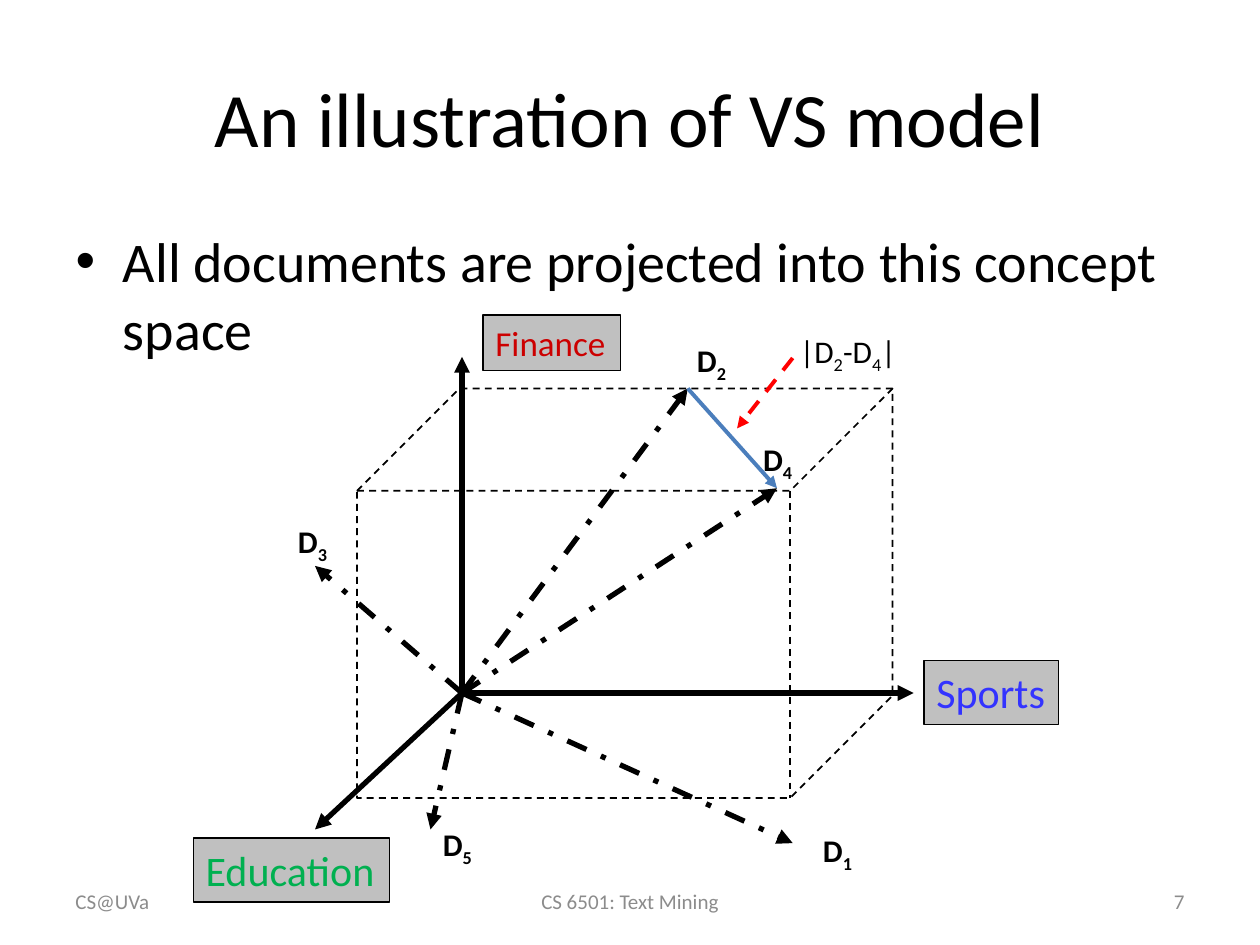
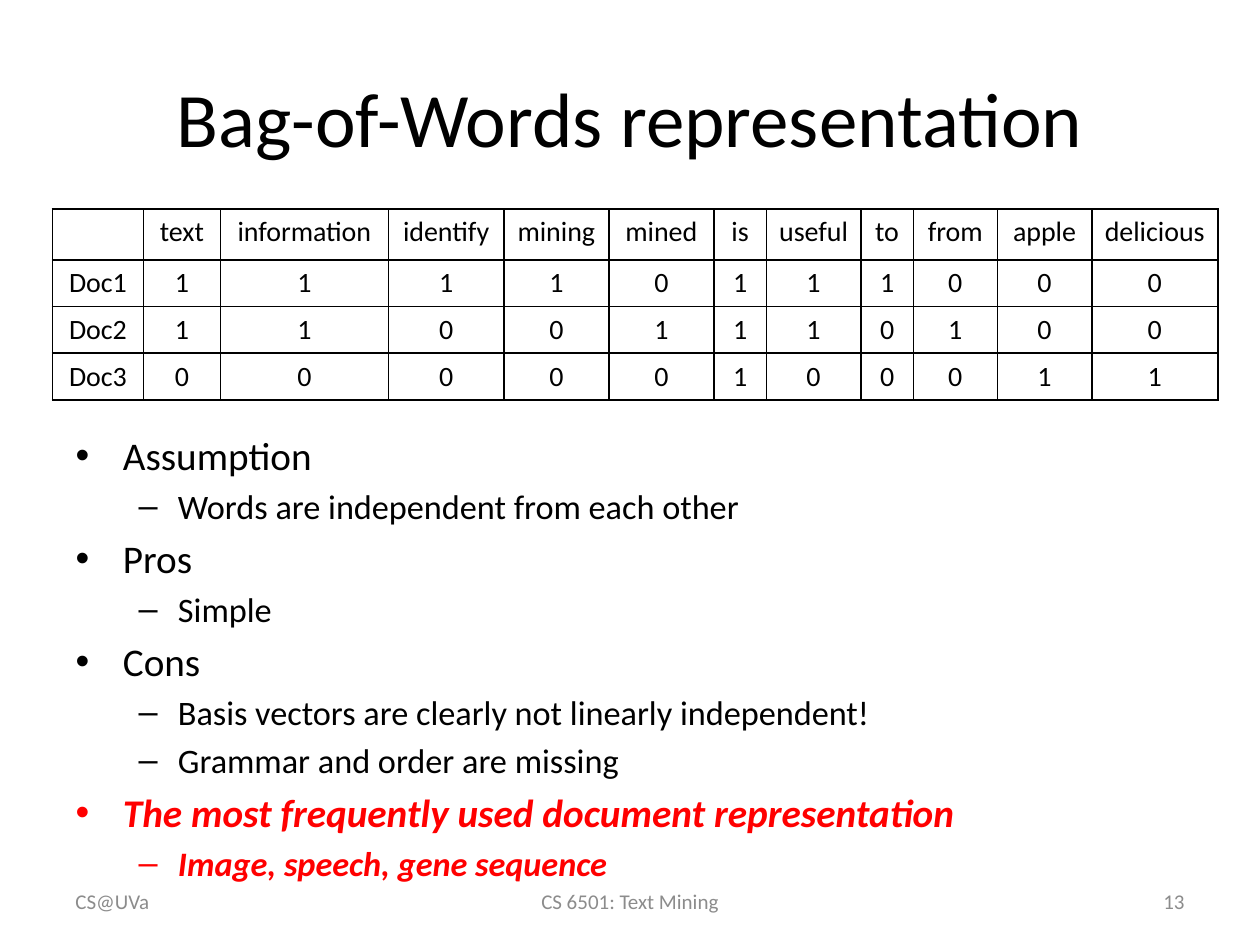
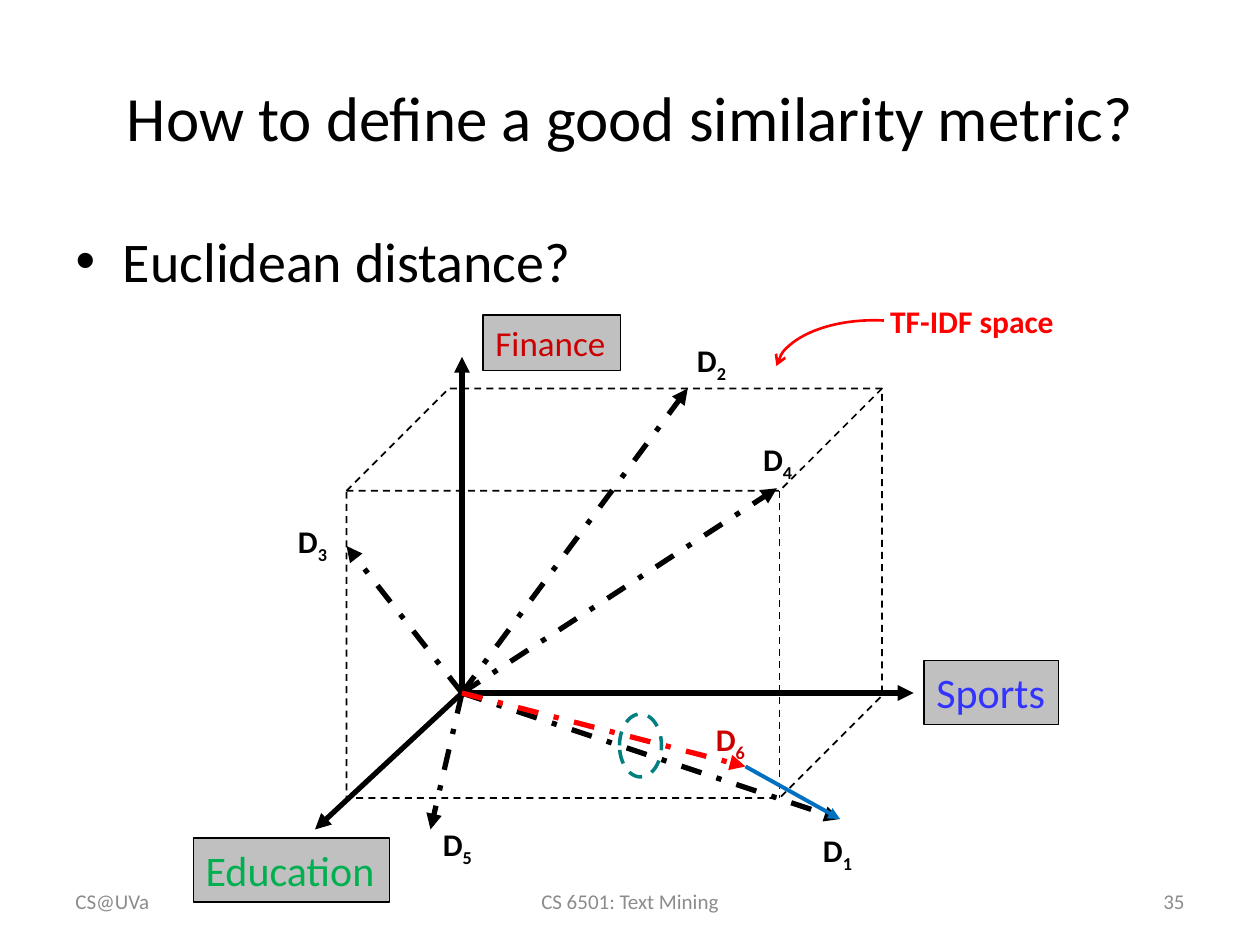
from lxml import etree
from pptx import Presentation
from pptx.dml.color import RGBColor
from pptx.enum import dml, shapes, text
from pptx.oxml import ns
from pptx.util import Inches, Pt

BLACK, RED, DARK_RED, GREY = "000000", "FF0000", "CC0000", "8C8C8C"
DASH, DASH_DOT = dml.MSO_LINE.DASH, dml.MSO_LINE.DASH_DOT
LEFT, CENTER, RIGHT = text.PP_ALIGN.LEFT, text.PP_ALIGN.CENTER, text.PP_ALIGN.RIGHT
ORIGIN = (44, 66)


def rgb(color):
    return RGBColor.from_string(color)


def grid(*units):
    """Lengths on a grid of 120 columns by 90 rows, twelve to the inch."""
    return [Inches(u / 12) for u in units]


class Deck:
    font = "Calibri"

    def __init__(self):
        self.prs = Presentation()
        self.prs.slide_width, self.prs.slide_height = grid(120, 90)
        self.s = None

    def slide(self, title, number, size=44):
        self.s = self.prs.slides.add_slide(self.prs.slide_layouts[1])
        sp = self.s.shapes.title
        sp.left, sp.top, sp.width, sp.height = grid(6, 3.6, 108, 15)
        sp.text_frame.text = title
        self.style(sp.text_frame.paragraphs[0], size)
        footers = (("CS@UVa", 6, 28, LEFT), ("CS 6501: Text Mining", 41, 38, CENTER),
                   (str(number), 86, 28, RIGHT))
        for words, x, width, align in footers:
            tf = self.label(words, x, 83.4, width, 4.8, size=12, color=GREY, wrap=True)
            tf.vertical_anchor = text.MSO_ANCHOR.MIDDLE
            tf.paragraphs[0].alignment = align

    def style(self, p, size, color=BLACK, bold=False, italic=False):
        for r in p.runs:
            f = r.font
            f.name, f.size, f.bold, f.italic = self.font, Pt(size), bold, italic
            f.color.rgb = rgb(color)

    def bullets(self, items, sizes=(32, 28), top=21, height=59.4):
        """Each item is (level, words) or (level, words, emphasised)."""
        sp = self.s.placeholders[1]
        sp.left, sp.top, sp.width, sp.height = grid(6, top, 108, height)
        tf = sp.text_frame
        tf.auto_size = text.MSO_AUTO_SIZE.NONE
        for i, (level, words, *strong) in enumerate(items):
            p = tf.add_paragraph() if i else tf.paragraphs[0]
            p.text, p.level = words, level
            self.style(p, sizes[level], RED if strong else BLACK, bool(strong), bool(strong))
        tf.paragraphs[0].space_before = Pt(0)

    def fill_text(self, tf, words, size, color, bold=False):
        """Set one paragraph; the character after an underscore is a subscript."""
        p = tf.paragraphs[0]
        first, *rest = words.split("_")
        pieces = [(first, False)]
        for part in rest:
            pieces += [(part[0], True), (part[1:], False)]
        for piece, lowered in pieces:
            if piece:
                r = p.add_run()
                r.text = piece
                if lowered:
                    r._r.get_or_add_rPr().set("baseline", "-25000")
        self.style(p, size, color, bold)

    def label(self, words, x, y, width=5.5, height=4.8, size=18, color=BLACK,
              bold=False, wrap=False):
        tf = self.s.shapes.add_textbox(*grid(x, y, width, height)).text_frame
        tf.word_wrap = wrap
        self.fill_text(tf, words, size, color, bold)
        return tf

    def stroke(self, sp, color, width, dash=None, **ends):
        line = sp.line
        line.color.rgb, line.width = rgb(color), Pt(width)
        if dash:
            line.dash_style = dash
        ln = sp.element.spPr.find(ns.qn("a:ln"))
        for end, kind in ends.items():
            etree.SubElement(ln, ns.qn(f"a:{end}")).set("type", kind)

    def shape(self, kind, box, color=BLACK, width=1, dash=DASH, fill=None, **ends):
        sp = self.s.shapes.add_shape(kind, *grid(*box))
        sp.shadow.inherit = False
        if fill:
            sp.fill.solid()
            sp.fill.fore_color.rgb = rgb(fill)
        else:
            sp.fill.background()
        self.stroke(sp, color, width, dash, **ends)
        return sp

    def tag(self, words, box, color, size):
        sp = self.shape(shapes.MSO_SHAPE.RECTANGLE, box, width=0.75, dash=None, fill="C0C0C0")
        tf = sp.text_frame
        tf.word_wrap = False
        tf.vertical_anchor = text.MSO_ANCHOR.TOP
        tf.paragraphs[0].alignment = LEFT
        self.fill_text(tf, words, size, color)

    def arrow(self, start, end, color=BLACK, width=3, dash=None):
        c = self.s.shapes.add_connector(shapes.MSO_CONNECTOR.STRAIGHT, *grid(*start, *end))
        self.stroke(c, color, width, dash, tailEnd="triangle")
        etree.SubElement(c.element.spPr, ns.qn("a:effectLst"))

    def space(self, cube_left, vectors):
        """Concept space with three axes; vectors are (name, tip, label place, colours)."""
        self.shape(shapes.MSO_SHAPE.CUBE, (cube_left, 37, 51, 39))
        for tip in ((30, 79), (87, 66), (44, 34)):
            self.arrow(ORIGIN, tip)
        self.tag("Sports", (88, 62.9, 12.8, 6.1), "3333FF", 24)
        self.tag("Education", (18.4, 79.8, 18.7, 6.1), "00B050", 24)
        self.tag("Finance", (46, 30, 13.1, 5.3), DARK_RED, 20)
        for name, tip, place, *colors in vectors:
            line, ink = colors or (BLACK, BLACK)
            self.arrow(ORIGIN, tip, line, dash=DASH_DOT)
            self.label(name, *place, color=ink, bold=True)

    def table(self, rows, x, y, widths, heights):
        frame = self.s.shapes.add_table(len(rows), len(widths),
                                        *grid(x, y, sum(widths), sum(heights)))
        t = frame.table
        t.first_row = t.horz_banding = False
        for column, width in zip(t.columns, grid(*widths)):
            column.width = width
        for row, height, values in zip(t.rows, grid(*heights), rows):
            row.height = height
            for cell, value in zip(row.cells, values):
                cell.margin_left = cell.margin_right = Inches(0.05)
                cell.text = value
                p = cell.text_frame.paragraphs[0]
                p.alignment = CENTER
                self.style(p, 16)
                self.border(cell)
                cell.fill.background()

    def border(self, cell):
        tc_pr = cell._tc.get_or_add_tcPr()
        for side in ("lnL", "lnR", "lnT", "lnB"):
            ln = etree.SubElement(tc_pr, ns.qn(f"a:{side}"), w=str(Pt(1)))
            fill = etree.SubElement(ln, ns.qn("a:solidFill"))
            etree.SubElement(fill, ns.qn("a:srgbClr"), val=BLACK)


def main():
    deck = Deck()
    d2_tip, d4_tip = (65.5, 37), (74, 46.5)
    shared = [("D_4", d4_tip, (71.5, 41.3)), ("D_2", d2_tip, (65.2, 31.9)),
              ("D_5", (41, 79), (41, 78))]
    d1_place, d3_place = (77.2, 78.6), (27.2, 49.1)

    deck.slide("An illustration of VS model", 7)
    deck.bullets([(0, "All documents are projected into this concept space")])
    deck.space(34, shared + [("D_1", (75.5, 80.3), d1_place), ("D_3", (30, 53.9), d3_place)])
    deck.arrow(d2_tip, d4_tip, "4B7EBC", 2.25)
    deck.label("|D_2-D_4|", 75, 31, 12, wrap=True)
    deck.arrow((75.5, 34.1), (70.2, 40.8), RED, 2.25, DASH)

    deck.slide("Bag-of-Words representation", 13)
    deck.bullets([
        (0, "Assumption"),
        (1, "Words are independent from each other"),
        (0, "Pros"),
        (1, "Simple"),
        (0, "Cons"),
        (1, "Basis vectors are clearly not linearly independent!"),
        (1, "Grammar and order are missing"),
        (0, "The most frequently used document representation", True),
        (1, "Image, speech, gene sequence", True),
    ], sizes=(22.4, 19.6), top=40.5, height=40.5)
    words = "text information identify mining mined is useful to from apple delicious"
    counts = ("11110111000", "11001110100", "00000100011")
    rows = [["", *words.split()]]
    rows += [[f"Doc{i}", *digits] for i, digits in enumerate(counts, 1)]
    deck.table(rows, 5, 19.9, (8.67, 7.33, 16, 11, 10, 10, 5, 9, 5, 8, 9, 12),
               (4.85, 4.45, 4.45, 4.45))

    deck.slide("How to define a good similarity metric?", 35, size=36)
    deck.bullets([(0, "Euclidean distance?")])
    d1_tip, d6_tip = (80, 78), (71, 73)
    deck.space(33, shared + [("D_1", d1_tip, d1_place), ("D_3", (33, 52), d3_place),
                             ("D_6", d6_tip, (67, 68), RED, DARK_RED)])
    deck.shape(shapes.MSO_SHAPE.OVAL, (59, 68, 4, 6), "008080", 2)
    deck.label("TF-IDF space", 83.6, 28.2, 26, color=RED, bold=True, wrap=True)
    arc = deck.shape(shapes.MSO_SHAPE.ARC, (73.9, 30.5, 18.7, 9.7), RED, 1.5, None,
                     headEnd="arrow")
    for i, degrees in enumerate((183, 281)):
        arc.adjustments[i] = degrees * 0.6
    deck.arrow(d6_tip, d1_tip, "0070C0", 2.25)

    deck.prs.save("out.pptx")


if __name__ == "__main__":
    main()
